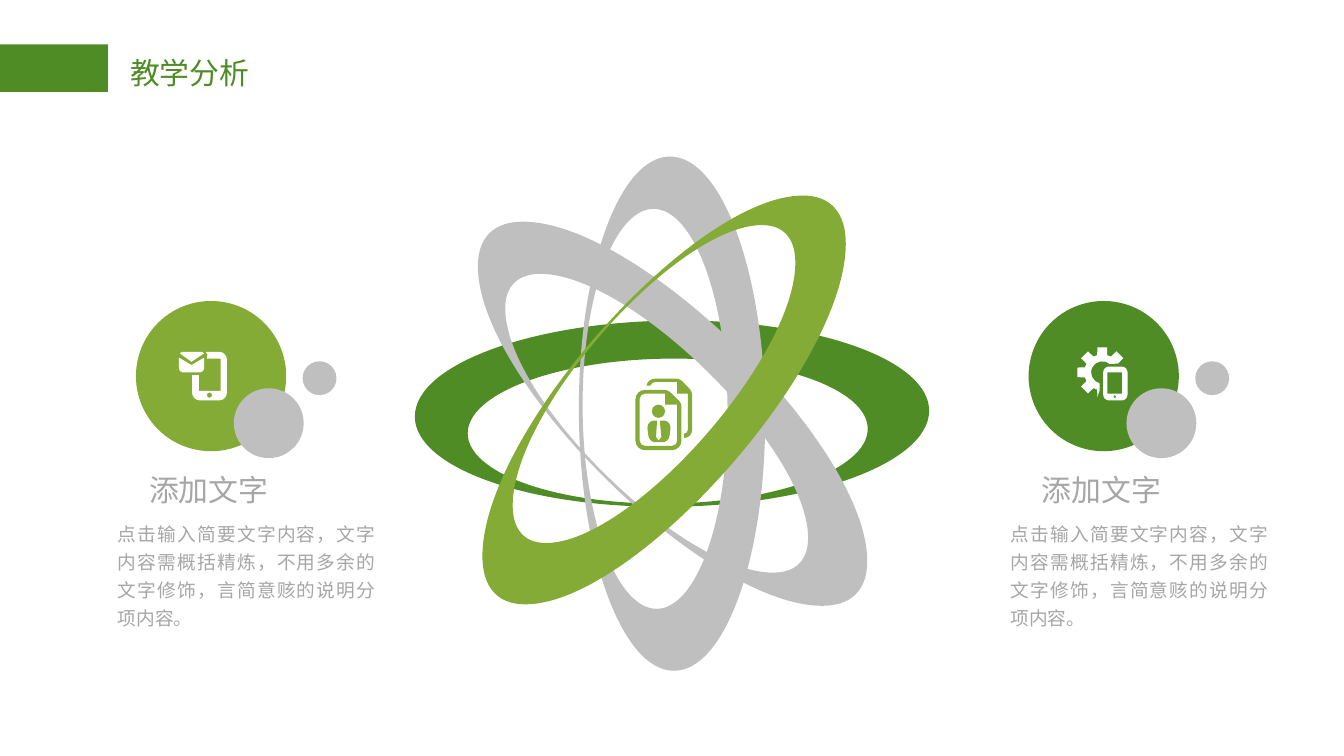
from math import atan2, cos, degrees, dist, radians, sin, tan

from lxml.etree import SubElement
from pptx import Presentation
from pptx.dml.color import RGBColor
from pptx.enum.shapes import MSO_SHAPE
from pptx.enum.text import MSO_AUTO_SIZE, PP_ALIGN
from pptx.oxml.ns import qn
from pptx.util import Cm, Pt

GREEN = RGBColor(0x4F, 0x8C, 0x26)
LIME = RGBColor(0x84, 0xAB, 0x35)
SILVER = RGBColor(0xBF, 0xBF, 0xBF)
GRAY = RGBColor(0xA6, 0xA6, 0xA6)
WHITE = RGBColor(0xFF, 0xFF, 0xFF)
LABEL_FONT = "Noto Sans CJK JP"

TITLE = "教学分析"
CARD_TITLE = "添加文字"
CARD_BODY = "点击输入简要文字内容，文字内容需概括精炼，不用多余的文字修饰，言简意赅的说明分项内容。"
CARDS = [(0, LIME), (16.87, GREEN)]

OUTER_AXES = (4.86, 1.76)
INNER_AXES = (3.78, 1.37)
ORBITS = [
    (GREEN, -0.75, (12.7, 7.82), (12.62, 8.15)),
    (SILVER, 89.5, (12.7, 7.82), (12.38, 7.73)),
    (SILVER, 44.5, (12.71, 7.82), (12.41, 8)),
    (LIME, -49.4, (12.55, 7.56), (12.36, 7.26)),
]

FRONT_PAGE = [(12.01, 7.37, 0.18), (12.62, 7.37, 0.06), (12.88, 7.62, 0.06),
              (12.88, 8.51, 0.18), (12.01, 8.51, 0.18)]
FRONT_PAGE_INSIDE = [(12.09, 7.44, 0.1), (12.57, 7.44, 0), (12.57, 7.65, 0),
                     (12.8, 7.65, 0), (12.8, 8.43, 0.1), (12.09, 8.43, 0.1)]
BACK_PAGE = [(12.22, 7.29, 0), (12.24, 7.16, 0.13), (12.85, 7.16, 0.06),
             (13.08, 7.4, 0.06), (13.08, 8.28, 0.15), (12.93, 8.28, 0),
             (12.93, 8.2, 0), (13, 8.2, 0.07), (13, 7.44, 0), (12.8, 7.44, 0),
             (12.8, 7.22, 0), (12.32, 7.22, 0.07), (12.29, 7.29, 0)]
PERSON_BODY = [(12.42, 7.95, 0), (12.4, 8.26, 0), (12.45, 8.33, 0),
               (12.5, 8.26, 0), (12.47, 7.95, 0), (12.69, 7.95, 0.15),
               (12.64, 8.36, 0.12), (12.27, 8.36, 0.12), (12.22, 7.95, 0.15)]
MAIL_FLAP = [(3.4, 6.68, 0), (3.45, 6.65, 0), (3.81, 6.65, 0), (3.86, 6.68, 0), (3.62, 6.84, 0)]
MAIL_BODY = [(3.38, 6.76, 0), (3.62, 6.9, 0), (3.86, 6.76, 0), (3.86, 7.04, 0.08), (3.38, 7.04, 0.08)]
PHONE = [(3.89, 6.65, 0), (4.29, 6.65, 0.15), (4.29, 7.57, 0.15), (3.63, 7.57, 0.15),
         (3.63, 7.09, 0), (3.76, 7.09, 0), (3.76, 7.39, 0), (4.17, 7.39, 0),
         (4.17, 6.78, 0), (3.91, 6.78, 0), (3.92, 6.7, 0)]
SMALL_PHONE = [(20.85, 6.93, 0.11), (21.31, 6.93, 0.11), (21.31, 7.57, 0.11), (20.85, 7.57, 0.11)]
SMALL_SCREEN = [(20.93, 7.04, 0), (21.21, 7.04, 0), (21.21, 7.44, 0), (20.93, 7.44, 0)]
GEAR_CENTER = (20.83, 7.04)
GEAR_TIP, GEAR_ROOT, GEAR_HOLE = 0.48, 0.34, 0.21


def arc(center, axes, stops, angle=0):
    tilt = radians(angle)

    def place(along, across):
        return (center[0] + along * cos(tilt) - across * sin(tilt),
                center[1] + along * sin(tilt) + across * cos(tilt))

    def on_curve(turn, pull=0):
        return place(axes[0] * (cos(turn) - pull * sin(turn)),
                     axes[1] * (sin(turn) + pull * cos(turn)))

    turns = [radians(stop) for stop in stops]
    segments = [(on_curve(turns[0]),)]
    for start, end in zip(turns, turns[1:]):
        pull = 4 / 3 * tan((end - start) / 4)
        segments.append((on_curve(start, pull), on_curve(end, -pull), on_curve(end)))
    return segments


def ellipse(center, axes, angle=0):
    tilt = radians(angle)
    widest = degrees(atan2(-axes[1] * sin(tilt), axes[0] * cos(tilt)))
    highest = degrees(atan2(axes[1] * cos(tilt), axes[0] * sin(tilt)))
    stops = sorted(stop % 360 for stop in (widest, highest, widest + 180, highest + 180))
    return arc(center, axes, stops + [stops[0] + 360], angle)


def rounded(corners):
    segments = []
    for index, (x, y, radius) in enumerate(corners):
        if not radius:
            segments.append(((x, y),))
            continue
        ends, pulls = [], []
        for near_x, near_y, _ in (corners[index - 1], corners[(index + 1) % len(corners)]):
            share = radius / dist((x, y), (near_x, near_y))
            for points, part in ((ends, share), (pulls, share * 0.45)):
                points.append((x + part * (near_x - x), y + part * (near_y - y)))
        segments += [(ends[0],), (pulls[0], pulls[1], ends[1])]
    return segments


def gear():
    teeth = [(tooth + turn, radius) for tooth in range(-45, -271, -45)
             for turn, radius in ((16, GEAR_ROOT), (11, GEAR_TIP), (-11, GEAR_TIP), (-16, GEAR_ROOT))]
    rim = [arc(GEAR_CENTER, (radius, radius), [turn])[0]
           for turn, radius in teeth[:-2] + [(-262, GEAR_ROOT)]]
    return rim + arc(GEAR_CENTER, (GEAR_HOLE, GEAR_HOLE), [104, 207, 310])


def paint(shape, color):
    shape.shadow.inherit = False
    shape.fill.solid()
    shape.fill.fore_color.rgb = color
    shape.line.fill.background()


def add_outline(page, color, *contours):
    builder = None
    for contour in contours:
        points = [(Cm(x), Cm(y)) for segment in contour for x, y in segment]
        if builder is None:
            builder = page.shapes.build_freeform(*points[0], scale=1.0)
        else:
            builder.move_to(*points[0])
        builder.add_line_segments(points[1:], close=True)
    shape = builder.convert_to_shape()
    paint(shape, color)
    lines = iter(list(shape._element.iter(qn("a:lnTo"))))
    for segment in (segment for contour in contours for segment in contour[1:]):
        group = [next(lines) for _ in segment]
        if len(group) == 3:
            curve = SubElement(group[0].getparent(), qn("a:cubicBezTo"))
            group[0].addprevious(curve)
            for line in group:
                curve.append(line[0])
                line.getparent().remove(line)


def add_block(page, kind, color, left, top, width, height):
    paint(page.shapes.add_shape(kind, Cm(left), Cm(top), Cm(width), Cm(height)), color)


def add_text(page, text, place, *, size, color, font=LABEL_FONT, align=PP_ALIGN.JUSTIFY,
             wrap=True, spacing=None, insets=(0.25, 0.13)):
    box = page.shapes.add_textbox(*map(Cm, place))
    frame = box.text_frame
    frame.word_wrap = wrap
    frame.auto_size = MSO_AUTO_SIZE.SHAPE_TO_FIT_TEXT
    frame.margin_left = frame.margin_right = Cm(insets[0])
    frame.margin_top = frame.margin_bottom = Cm(insets[1])
    para = frame.paragraphs[0]
    para.alignment = align
    para.line_spacing = spacing
    span = para.add_run()
    span.text = text
    span.font.size = Pt(size)
    span.font.color.rgb = color
    span.font.name = font
    SubElement(span.font._element, qn("a:ea"), typeface=font)


def add_card(page, shift, color):
    for fill, left, top, size in ((color, 2.57, 5.69, 2.84), (SILVER, 4.42, 7.34, 1.32),
                                  (SILVER, 5.72, 6.83, 0.64)):
        add_block(page, MSO_SHAPE.OVAL, fill, left + shift, top, size, size)
    add_text(page, CARD_TITLE, (2.57 + shift, 8.79, 2.84, 0.94), size=16, color=GRAY)
    add_text(page, CARD_BODY, (1.98 + shift, 9.65, 5.36, 2.39), size=10, color=GRAY, spacing=1.25)


def main():
    deck = Presentation()
    deck.slide_width, deck.slide_height = Cm(25.4), Cm(14.29)
    page = deck.slides.add_slide(deck.slide_layouts[6])

    add_block(page, MSO_SHAPE.RECTANGLE, GREEN, 0, 0.84, 2.04, 0.9)
    add_text(page, TITLE, (2.26, 0.94, 2.67, 0.89), size=16, color=GREEN, font="Calibri",
             align=PP_ALIGN.LEFT, wrap=False, insets=(0.2, 0.1))

    for color, angle, outer, inner in ORBITS:
        add_outline(page, color, ellipse(outer, OUTER_AXES, angle), ellipse(inner, INNER_AXES, angle))

    add_outline(page, LIME, rounded(FRONT_PAGE), rounded(FRONT_PAGE_INSIDE))
    for corners in (BACK_PAGE, PERSON_BODY):
        add_outline(page, LIME, rounded(corners))
    add_block(page, MSO_SHAPE.OVAL, LIME, 12.32, 7.65, 0.25, 0.25)

    for shift, color in CARDS:
        add_card(page, shift, color)

    for corners in (MAIL_FLAP, MAIL_BODY):
        add_outline(page, WHITE, rounded(corners))
    add_outline(page, WHITE, rounded(PHONE), ellipse((3.96, 7.47), (0.05, 0.05)))
    add_outline(page, WHITE, rounded(SMALL_PHONE), rounded(SMALL_SCREEN),
                ellipse((21.07, 7.5), (0.03, 0.03)))
    add_outline(page, WHITE, gear())
    deck.save("out.pptx")


if __name__ == "__main__":
    main()
